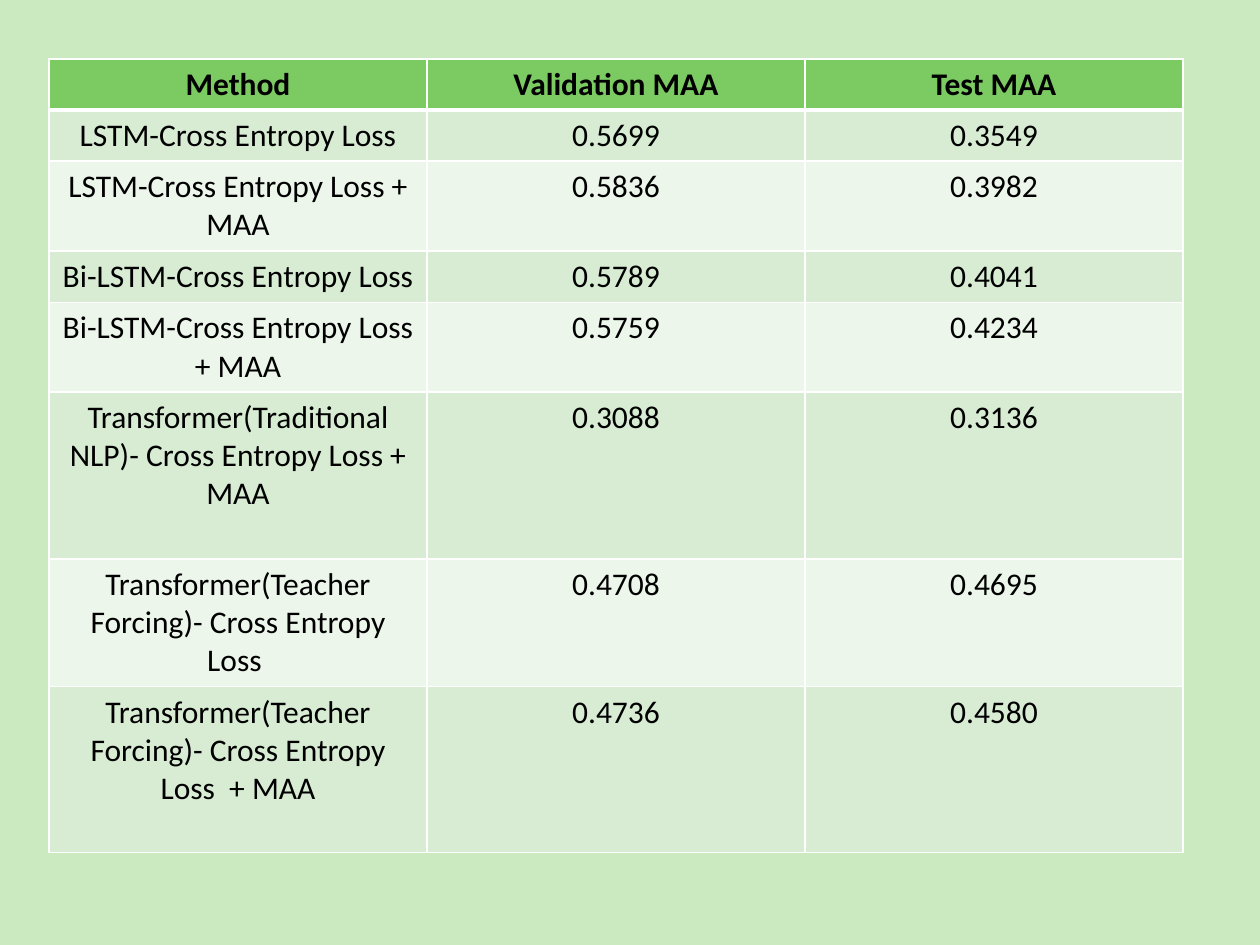
from lxml import etree
from pptx import Presentation
from pptx.dml.color import RGBColor
from pptx.enum.text import PP_ALIGN
from pptx.oxml.ns import qn
from pptx.util import Pt

CENTER = PP_ALIGN.CENTER
PX = 914400 / 126
BLACK = RGBColor(0x00, 0x00, 0x00)
WHITE = RGBColor(0xFF, 0xFF, 0xFF)
BACK = RGBColor(0xCB, 0xEA, 0xC0)
GREEN = RGBColor(0x7C, 0xCA, 0x62)
BANDS = (RGBColor(0xD7, 0xEC, 0xD3), RGBColor(0xEC, 0xF6, 0xEA))

ROWS = (
    (51, "Method", "Validation MAA", "Test MAA"),
    (51, "LSTM-Cross Entropy Loss", "0.5699", "0.3549"),
    (90, "LSTM-Cross Entropy Loss + MAA", "0.5836", "0.3982"),
    (51, "Bi-LSTM-Cross Entropy Loss", "0.5789", "0.4041"),
    (89, "Bi-LSTM-Cross Entropy Loss + MAA", "0.5759", "0.4234"),
    (167, "Transformer(Traditional NLP)- Cross Entropy Loss + MAA", "0.3088", "0.3136"),
    (128, "Transformer(Teacher Forcing)- Cross Entropy Loss ", "0.4708", "0.4695"),
    (166, "Transformer(Teacher Forcing)- Cross Entropy Loss  + MAA", "0.4736", "0.4580"),
)


def emu(px):
    return round(px * PX)


def write(frame, text, font="Calibri", size=18, color=BLACK, bold=False, align=CENTER):
    para = frame.paragraphs[0]
    para.alignment = align
    run = para.add_run()
    run.text = text
    run.font.name = font
    run.font.size = Pt(size)
    run.font.color.rgb = color
    run.font.bold = bold


class Deck:
    def __init__(self, width, height, back):
        self.show = Presentation()
        self.show.slide_width = emu(width)
        self.show.slide_height = emu(height)
        self.slide = self.show.slides.add_slide(self.show.slide_layouts[6])
        fill = self.slide.background.fill
        fill.solid()
        fill.fore_color.rgb = back

    def border(self, cell, **sides):
        props = cell._tc.get_or_add_tcPr()
        for side, width in sides.items():
            line = etree.SubElement(props, qn(f"a:ln{side}"), w=str(Pt(width)))
            solid = etree.SubElement(line, qn("a:solidFill"))
            etree.SubElement(solid, qn("a:srgbClr"), val=str(WHITE))

    def cell(self, cell, text, head, fill):
        write(cell.text_frame, text, bold=head)
        if head:
            self.border(cell, L=1, R=1, T=1, B=3)
        else:
            self.border(cell, L=1, R=1, B=1)
        cell.fill.solid()
        cell.fill.fore_color.rgb = fill

    def table(self, left, top, width, rows):
        cols = len(rows[0]) - 1
        high = sum(row[0] for row in rows)
        frame = self.slide.shapes.add_table(
            len(rows), cols, emu(left), emu(top), emu(width), emu(high))
        grid = frame.table
        for col in grid.columns:
            col.width = emu(width / cols)
        for i, (tall, *texts) in enumerate(rows):
            grid.rows[i].height = emu(tall)
            fill = BANDS[(i - 1) % 2] if i else GREEN
            for j, text in enumerate(texts):
                self.cell(grid.cell(i, j), text, i == 0, fill)


def main():
    deck = Deck(1260, 945, BACK)
    deck.table(49, 59, 1134, ROWS)
    deck.show.save("out.pptx")


if __name__ == "__main__":
    main()
